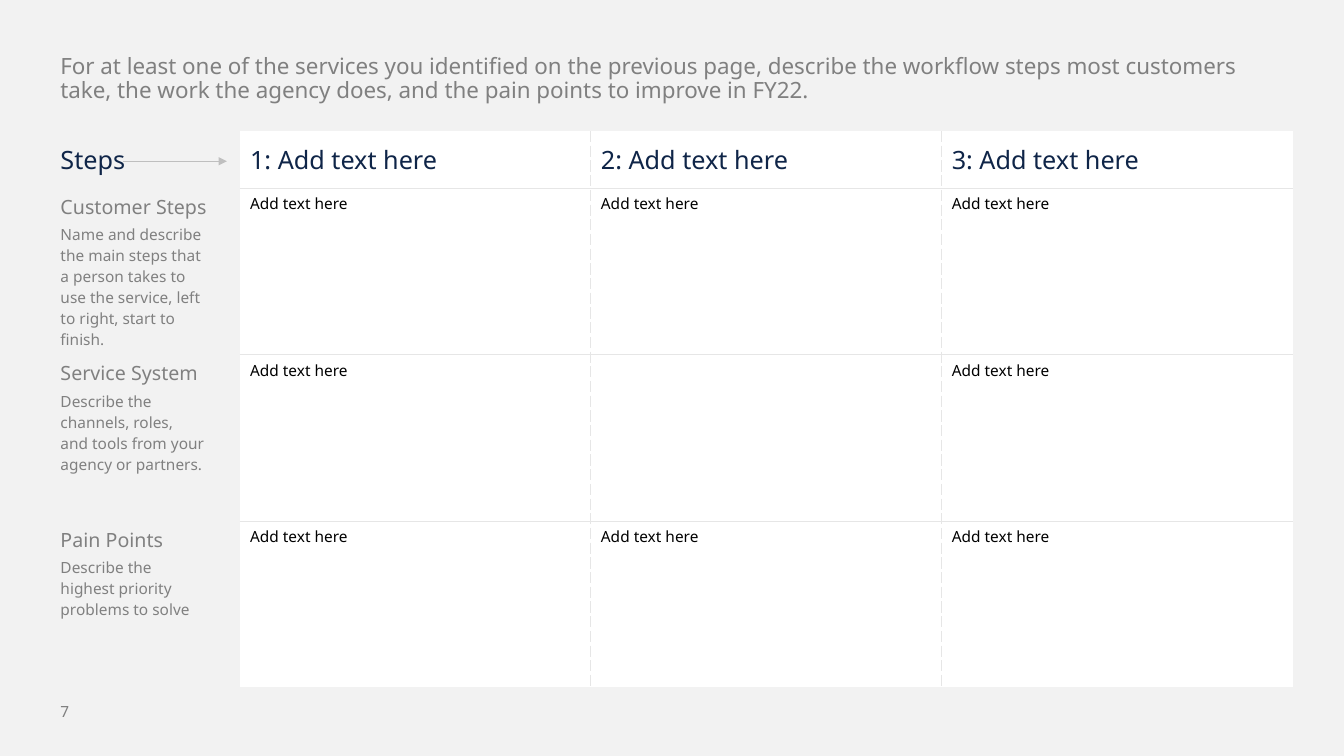
from typing import NamedTuple, Optional

from lxml import etree
from pptx import Presentation
from pptx import util as u
from pptx.dml import color
from pptx.enum import shapes, text
from pptx.oxml import ns

Inches, Pt = u.Inches, u.Pt
FONT = "Noto Sans"
PAGE = color.RGBColor(0xF2, 0xF2, 0xF2)
WHITE = color.RGBColor(0xFF, 0xFF, 0xFF)
BLACK = color.RGBColor(0x00, 0x00, 0x00)
GREY = color.RGBColor(0x80, 0x80, 0x80)
NAVY = color.RGBColor(0x0F, 0x25, 0x48)
RULE = color.RGBColor(0xE6, 0xE6, 0xE6)
ARROW = color.RGBColor(0xBF, 0xBF, 0xBF)

LEFT, WIDTH = 0.5, 12.33
LABEL_W, STEP_W = 1.88, 3.48
HEAD_H, BODY_H = 0.57, 1.65
TABLE_TOP = 1.3
PROMPT = "Add text here"
INTRO = ("For at least one of the services you identified on the previous page, "
         "describe the workflow steps most customers take, the work the agency does, "
         "and the pain points to improve in FY22.")


class Style(NamedTuple):
    """Size and colour of a run."""
    size: int
    rgb: color.RGBColor


class Stage(NamedTuple):
    """One body row: its label, its guidance lines and a prompt per step."""
    label: str
    guidance: tuple[str, ...]
    prompts: tuple[str, ...]


INTRO_STYLE = Style(16, GREY)
HEAD = Style(18, NAVY)
LABEL = Style(14, GREY)
NOTE = Style(11, GREY)
ENTRY = Style(11, BLACK)

STAGES = (
    Stage("Customer Steps",
          ("Name and describe the main steps that a person takes to use the service, "
           "left to right, start to finish.",),
          (PROMPT, PROMPT, PROMPT)),
    Stage("Service System",
          ("Describe the channels, roles, ", "and tools from your agency or partners."),
          (PROMPT, "", PROMPT)),
    Stage("Pain Points",
          ("Describe the highest priority problems to solve",),
          (PROMPT, PROMPT, PROMPT)),
)


def add_run(p, words: str, style: Style) -> None:
    """Add one styled run to a paragraph."""
    r = p.add_run()
    r.text = words
    r.font.name, r.font.size = FONT, Pt(style.size)
    r.font.color.rgb = style.rgb


def add_text(s, top: float, width: float, height: float, words: str, style: Style,
             spacing: float = 1.0) -> None:
    """Add a wrapped text box on the left margin."""
    sp = s.shapes.add_textbox(Inches(LEFT), Inches(top), Inches(width), Inches(height))
    tf = sp.text_frame
    tf.word_wrap = True
    tf.paragraphs[0].line_spacing = spacing
    add_run(tf.paragraphs[0], words, style)


def set_border(cell, side: str, dash: Optional[str]) -> None:
    """Draw a one-point rule on a cell side, or clear it when dash is None."""
    ln = etree.SubElement(cell._tc.get_or_add_tcPr(), ns.qn(f"a:ln{side}"), w=str(Pt(1)))
    if dash is None:
        etree.SubElement(ln, ns.qn("a:noFill"))
        return
    fill = etree.SubElement(ln, ns.qn("a:solidFill"))
    etree.SubElement(fill, ns.qn("a:srgbClr"), val=str(RULE))
    etree.SubElement(ln, ns.qn("a:prstDash"), val=dash)


def format_cell(cell, row: int, col: int) -> None:
    """Rule the inner edges of step cells and fill them; leave labels clear."""
    is_step = col > 0
    sides = {
        "L": "sysDash" if col > 1 else None,
        "R": "sysDash" if is_step and col < len(STAGES[0].prompts) else None,
        "T": "solid" if is_step and row > 0 else None,
        "B": "solid" if is_step and row < len(STAGES) else None,
    }
    for side, dash in sides.items():
        set_border(cell, side, dash)
    if is_step:
        cell.fill.solid()
        cell.fill.fore_color.rgb = WHITE
    else:
        cell.fill.background()


def fill_label(cell, stage: Stage) -> None:
    """Write a stage label with its guidance below."""
    cell.margin_right = Inches(0.3)
    p = cell.text_frame.paragraphs[0]
    p.space_after = Pt(3)
    add_run(p, stage.label, LABEL)
    p = cell.text_frame.add_paragraph()
    for i, line in enumerate(stage.guidance):
        if i:
            p.add_line_break()
        add_run(p, line, NOTE)


def add_workflow(s) -> None:
    """Add the table of workflow steps by stage."""
    steps = len(STAGES[0].prompts)
    table = s.shapes.add_table(
        len(STAGES) + 1, steps + 1, Inches(LEFT), Inches(TABLE_TOP),
        Inches(LABEL_W + steps * STEP_W), Inches(HEAD_H + len(STAGES) * BODY_H)).table
    table.first_row = table.horz_banding = False
    for i, column in enumerate(table.columns):
        column.width = Inches(STEP_W if i else LABEL_W)
    for i, row in enumerate(table.rows):
        row.height = Inches(BODY_H if i else HEAD_H)
        for j, cell in enumerate(row.cells):
            format_cell(cell, i, j)

    heads = ["Steps"] + [f"{n}: {PROMPT}" for n in range(1, steps + 1)]
    for j, words in enumerate(heads):
        cell = table.cell(0, j)
        cell.vertical_anchor = text.MSO_ANCHOR.MIDDLE
        add_run(cell.text_frame.paragraphs[0], words, HEAD)
    for i, stage in enumerate(STAGES, 1):
        fill_label(table.cell(i, 0), stage)
        for j, words in enumerate(stage.prompts, 1):
            if words:
                add_run(table.cell(i, j).text_frame.paragraphs[0], words, ENTRY)


def add_arrow(s, x1: float, x2: float, y: float) -> None:
    """Add a horizontal arrow pointing right."""
    sp = s.shapes.add_connector(shapes.MSO_CONNECTOR.STRAIGHT,
                                Inches(x1), Inches(y), Inches(x2), Inches(y))
    sp.line.color.rgb, sp.line.width = ARROW, Pt(1)
    etree.SubElement(sp.line._get_or_add_ln(), ns.qn("a:tailEnd"), type="triangle")
    etree.SubElement(sp._element.spPr, ns.qn("a:effectLst"))


def main() -> None:
    """Build and save the slide."""
    prs = Presentation()
    prs.slide_width, prs.slide_height = Inches(13.33), Inches(7.5)
    s = prs.slides.add_slide(prs.slide_layouts[6])
    s.background.fill.solid()
    s.background.fill.fore_color.rgb = PAGE
    add_text(s, 6.92, 0.83, 0.4, "7", NOTE)
    add_workflow(s)
    add_arrow(s, 1.22, 2.25, 1.6)
    add_text(s, 0.5, WIDTH, 0.64, INTRO, INTRO_STYLE, spacing=0.9)
    prs.save("out.pptx")


main()
